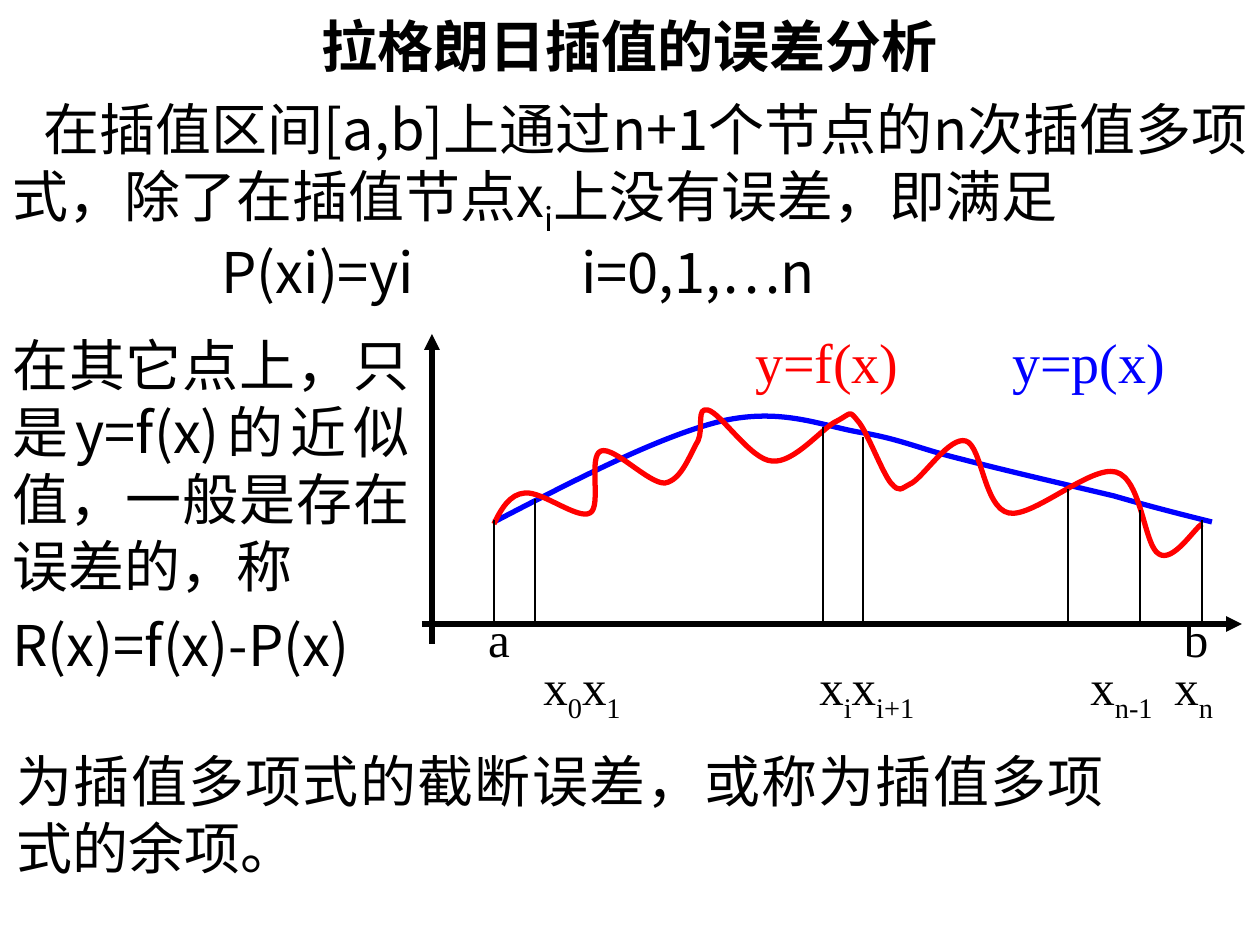
"""Build a slide on the error of Lagrange interpolation."""
from dataclasses import dataclass

import lxml.etree
import pptx
import pptx.dml.color
import pptx.enum.shapes
import pptx.enum.text
import pptx.oxml.ns
import pptx.util

PX = 914400 / 126
BLACK = pptx.dml.color.RGBColor(0, 0, 0)
RED = pptx.dml.color.RGBColor(255, 0, 0)
BLUE = pptx.dml.color.RGBColor(0, 0, 255)
SANS = "Noto Sans CJK SC"
SERIF = "Times New Roman"
ALIGN = pptx.enum.text.PP_ALIGN
ANCHOR = pptx.enum.text.MSO_ANCHOR
BASE = 624
Point = tuple[int, int]


@dataclass
class Para:
    """A paragraph, with subscripts set between tildes."""
    text: str
    align: ALIGN = ALIGN.JUSTIFY
    before: float = 0
    indent: int = 0
    tabs: tuple[int, ...] = ()


@dataclass
class Box:
    """A text box with one font throughout."""
    left: int
    top: int
    width: int
    height: int
    paras: list[Para]
    face: str = SANS
    size: int = 32
    color: pptx.dml.color.RGBColor = BLACK
    lead: float = 1.0
    bold: bool = False
    anchor: ANCHOR = ANCHOR.TOP


@dataclass
class Line:
    """A straight line, with or without an arrowhead."""
    start: Point
    end: Point
    width: float = 0.75
    arrow: bool = False


@dataclass
class Curve:
    """A chain of cubic arcs: knot, two controls, knot, and so on."""
    color: pptx.dml.color.RGBColor
    points: list[Point]


def emu(px: float) -> int:
    """Turn pixels into EMU."""
    return round(px * PX)


def add(parent, tag: str, **attrs: str):
    """Append a drawing element."""
    node = lxml.etree.SubElement(parent, pptx.oxml.ns.qn(tag))
    for key, value in attrs.items():
        node.set(key, value)
    return node


def fill_para(para, item: Para, box: Box) -> None:
    """Write and style one paragraph."""
    for i, part in enumerate(item.text.split("~")):
        if part:
            run = para.add_run()
            run.text = part
            if i % 2:
                run._r.get_or_add_rPr().set("baseline", "-25000")
    para.alignment = item.align
    para.line_spacing = box.lead
    para.space_before = pptx.util.Pt(item.before)
    props = para._p.get_or_add_pPr()
    if item.indent:
        props.set("indent", str(emu(item.indent)))
    if item.tabs:
        stops = add(props, "a:tabLst")
        for tab in item.tabs:
            add(stops, "a:tab", pos=str(emu(tab)), algn="l")
    font = para.font
    font.size = pptx.util.Pt(box.size)
    font.bold = box.bold
    font.color.rgb = box.color
    font.name = box.face
    face = SERIF if box.face == SERIF else SANS
    add(props.find(pptx.oxml.ns.qn("a:defRPr")), "a:ea", typeface=face)


def draw_box(slide, box: Box) -> None:
    """Draw a text box."""
    shape = slide.shapes.add_textbox(
        emu(box.left), emu(box.top), emu(box.width), emu(box.height))
    frame = shape.text_frame
    frame.word_wrap = True
    frame.vertical_anchor = box.anchor
    for i, item in enumerate(box.paras):
        para = frame.add_paragraph() if i else frame.paragraphs[0]
        fill_para(para, item, box)


def draw_line(slide, line: Line) -> None:
    """Draw a straight line."""
    kind = pptx.enum.shapes.MSO_CONNECTOR.STRAIGHT
    shape = slide.shapes.add_connector(
        kind, *map(emu, line.start), *map(emu, line.end))
    shape.line.color.rgb = BLACK
    shape.line.width = pptx.util.Pt(line.width)
    if line.arrow:
        add(shape.line._get_or_add_ln(), "a:tailEnd", type="triangle")
    add(shape._element.spPr, "a:effectLst")


def bend(shape) -> None:
    """Join each three straight segments of a freeform into a cubic arc."""
    legs = list(shape._element.iter(pptx.oxml.ns.qn("a:lnTo")))
    for first, second, third in zip(legs[::3], legs[1::3], legs[2::3]):
        arc = lxml.etree.Element(pptx.oxml.ns.qn("a:cubicBezTo"))
        first.addprevious(arc)
        for leg in (first, second, third):
            arc.append(leg[0])
            leg.getparent().remove(leg)


def draw_curve(slide, curve: Curve) -> None:
    """Draw a smooth open curve."""
    knots = [(emu(x), emu(y)) for x, y in curve.points]
    form = slide.shapes.build_freeform(*knots[0])
    form.add_line_segments(knots[1:], close=False)
    shape = form.convert_to_shape()
    bend(shape)
    shape.shadow.inherit = False
    shape.fill.background()
    shape.line.color.rgb = curve.color
    shape.line.width = pptx.util.Pt(3)


def label(left: int, top: int, width: int, height: int, text: str,
          size: int, color=BLACK) -> Box:
    """Make a centred label for the graph."""
    return Box(left, top, width, height, [Para(text, ALIGN.CENTER)],
               SERIF, size, color, 0.8)


AXES = [Line((422, BASE), (1242, BASE), 3, True),
        Line((432, 644), (432, 334), 3, True)]
STEMS = [Line((x, y), (x, BASE)) for x, y in (
    (494, 520), (1140, 510), (1202, 520), (823, 427),
    (535, 499), (1068, 489), (863, 437))]
CURVES = [
    Curve(BLUE, [
        (494, 522), (577, 479), (660, 436), (722, 421), (784, 407),
        (824, 427), (864, 433), (903, 440), (920, 449), (961, 459),
        (1003, 470), (1072, 486), (1114, 496), (1155, 508), (1196, 518),
        (1212, 522)]),
    Curve(RED, [
        (494, 524), (501, 509), (510, 494), (525, 493), (542, 491),
        (578, 520), (590, 513), (602, 507), (588, 456), (601, 451),
        (614, 446), (649, 484), (665, 483), (682, 480), (690, 454),
        (698, 441), (704, 428), (696, 407), (708, 410), (721, 413),
        (751, 460), (772, 461), (794, 464), (823, 427), (837, 421),
        (852, 413), (849, 410), (858, 421), (867, 431), (882, 472),
        (891, 483), (900, 493), (900, 489), (912, 483), (925, 475),
        (950, 436), (966, 441), (982, 446), (984, 508), (1009, 513),
        (1033, 518), (1091, 465), (1116, 472), (1142, 479), (1144, 546),
        (1159, 554), (1173, 563), (1194, 529), (1202, 524)])]
BOXES = [
    Box(0, 96, 1260, 228, [
        Para("在插值区间[a,b]上通过n+1个节点的n次插值多项式，"
             "除了在插值节点x~i~上没有误差，即满足", indent=31),
        Para("\tP(xi)=yi\ti=0,1,…n", ALIGN.LEFT, 7.5, tabs=(209, 569))],
        lead=0.9),
    Box(474, 644, 786, 76, [
        Para("\tx~0~x~1~\tx~i~x~i+1~\tx~n-1~\tx~n~", ALIGN.LEFT,
             tabs=(57, 333, 604, 688))], SERIF, 28, lead=1.1),
    label(740, 334, 174, 67, "y=f(x)", 32, RED),
    label(976, 334, 226, 67, "y=p(x)", 32, BLUE),
    label(473, 614, 52, 60, "a", 28),
    label(1170, 614, 52, 60, "b", 28),
    Box(4, 740, 1113, 160, [
        Para("为插值多项式的截断误差，或称为插值多项式的余项。")]),
    Box(0, 324, 422, 349, [
        Para("在其它点上，只是y=f(x)的近似值，一般是存在误差的，称"),
        Para("R(x)=f(x)-P(x)", before=6.4)]),
    Box(249, 31, 761, 55, [Para("拉格朗日插值的误差分析", ALIGN.CENTER)],
        "Calibri", lead=0.9, bold=True, anchor=ANCHOR.BOTTOM)]


def main() -> None:
    """Build and save the slide."""
    deck = pptx.Presentation()
    deck.slide_width, deck.slide_height = emu(1260), emu(945)
    slide = deck.slides.add_slide(deck.slide_layouts[6])
    for draw, items in ((draw_line, AXES), (draw_curve, CURVES),
                        (draw_line, STEMS), (draw_box, BOXES)):
        for item in items:
            draw(slide, item)
    deck.save("out.pptx")


if __name__ == "__main__":
    main()
